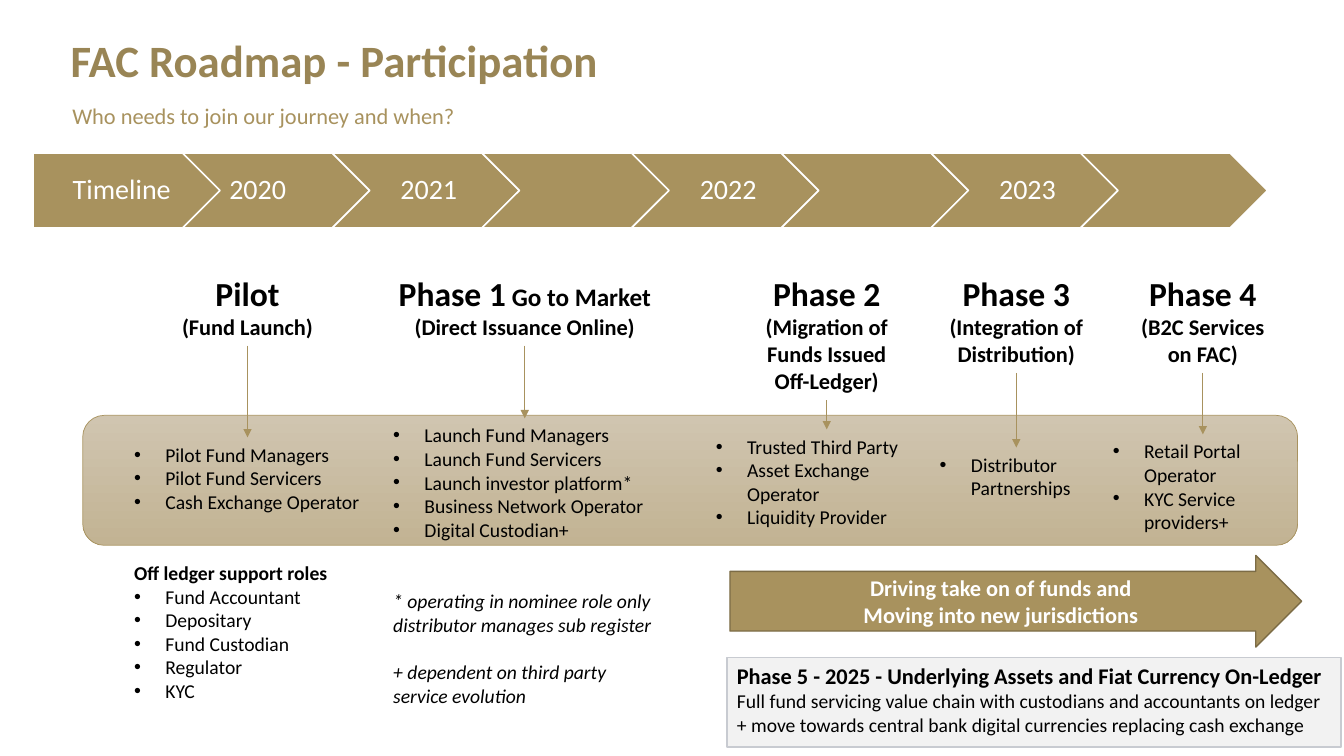
from lxml.etree import SubElement
from pptx import Presentation
from pptx.dml.color import RGBColor
from pptx.enum.shapes import MSO_CONNECTOR, MSO_SHAPE
from pptx.enum.text import MSO_ANCHOR, MSO_AUTO_SIZE, PP_ALIGN
from pptx.oxml.ns import qn
from pptx.util import Inches, Pt

COLORS = {
    "gold": "A8925E", "title": "998555", "arrow_edge": "7C6C46",
    "band_top": "D0C5B0", "band_bottom": "C2B393",
    "panel": "F2F2F2", "panel_edge": "C8CBD1", "black": "000000", "white": "FFFFFF",
}
LINE_14 = 17.1

TIMELINE = ["Timeline", "2020", "2021", "", "2022", "", "2023", ""]

PHASES = [
    {"name": "Pilot", "note": "", "scope": "(Fund Launch)",
     "heading": (1.68, 2.66, 1.55, 0.77), "list": (1.23, 4.34, 2.5, 2.69),
     "roles": ["Pilot Fund Managers", "Pilot Fund Servicers", "Cash Exchange Operator"]},
    {"name": "Phase 1", "note": " Go to Market", "scope": "(Direct Issuance Online)",
     "heading": (3.56, 2.66, 3.29, 0.77), "list": (3.8, 4.15, 2.8, 2.93),
     "roles": ["Launch Fund Managers", "Launch Fund Servicers", "Launch investor platform*",
               "Business Network Operator", "Digital Custodian+"]},
    {"name": "Phase 2", "note": "", "scope": "(Migration of Funds Issued Off-Ledger)",
     "heading": (7.4, 2.66, 1.6, 1.31), "list": (7, 4.26, 2.4, 1.04),
     "roles": ["Trusted Third Party", "Asset Exchange Operator", "Liquidity Provider"]},
    {"name": "Phase 3", "note": "", "scope": "(Integration of Distribution)",
     "heading": (9.28, 2.66, 1.6, 1.04), "list": (9.22, 4.44, 1.72, 0.57),
     "roles": ["Distributor Partnerships"]},
    {"name": "Phase 4", "note": "", "scope": "(B2C Services on FAC)",
     "heading": (11.13, 2.66, 1.6, 1.04), "list": (10.94, 4.31, 1.97, 1.04),
     "roles": ["Retail Portal Operator", "KYC Service providers+"]},
]
SUPPORT_ROLES = ["Fund Accountant", "Depositary", "Fund Custodian", "Regulator", "KYC"]
FOOTNOTES = [
    ("* operating in nominee role only distributor manages sub register", 2 * LINE_14),
    ("+ dependent on third party service evolution", LINE_14),
]


def color(name):
    return RGBColor.from_string(COLORS[name])


def place(shape, box):
    shape.left, shape.top, shape.width, shape.height = map(Inches, box)


def prepare_frame(shape, anchor=MSO_ANCHOR.TOP):
    frame = shape.text_frame
    frame.word_wrap = True
    frame.auto_size = MSO_AUTO_SIZE.NONE
    frame.vertical_anchor = anchor
    return frame


def add_paragraph(frame, align=PP_ALIGN.LEFT, before=0, bullet=False, spacing=1.0):
    first = frame.paragraphs[0]
    paragraph = frame.add_paragraph() if first.runs else first
    paragraph.alignment = align
    paragraph.line_spacing = spacing
    paragraph.space_before = Pt(before)
    paragraph.space_after = Pt(0)
    properties = paragraph._p.get_or_add_pPr()
    indent = Inches(0.31) if bullet else 0
    properties.set("marL", str(indent))
    properties.set("indent", str(-indent))
    if bullet:
        SubElement(properties, qn("a:buFont")).set("typeface", "Arial")
        SubElement(properties, qn("a:buChar")).set("char", "•")
    else:
        SubElement(properties, qn("a:buNone"))
    return paragraph


def add_run(paragraph, text, size, color_name="black", bold=False, italic=False):
    run = paragraph.add_run()
    run.text = text
    font = run.font
    font.name, font.size, font.bold, font.italic = "Calibri", Pt(size), bold, italic
    font.color.rgb = color(color_name)


def add_filled_shape(slide, kind, box, fill, line, width=1):
    shape = slide.shapes.add_shape(kind, *map(Inches, box))
    shape.shadow.inherit = False
    if fill:
        shape.fill.solid()
        shape.fill.fore_color.rgb = color(fill)
    shape.line.color.rgb = color(line)
    shape.line.width = Pt(width)
    return shape


def add_text_box(slide, box):
    return slide.shapes.add_textbox(*map(Inches, box))


def add_header(slide, box):
    left, top, width, height = box
    title = slide.shapes.title
    place(title, (left, top, width, 0.54))
    paragraph = add_paragraph(prepare_frame(title), spacing=0.8)
    add_run(paragraph, "FAC Roadmap - Participation", 32, "title", bold=True)
    subtitle = add_text_box(slide, (left + 0.02, top + 0.58, 4.3, height - 0.58))
    paragraph = add_paragraph(prepare_frame(subtitle))
    add_run(paragraph, "Who needs to join our journey and when?", 16, "gold")


def add_timeline(slide, box):
    left, top, width, height = box
    step_width = 1.85
    pitch = (width - step_width) / (len(TIMELINE) - 1)
    for index, label in enumerate(TIMELINE):
        kind = MSO_SHAPE.CHEVRON if index else MSO_SHAPE.PENTAGON
        step = add_filled_shape(slide, kind, (left + index * pitch, top, step_width, height),
                                "gold", "white")
        if label:
            frame = prepare_frame(step, MSO_ANCHOR.MIDDLE)
            frame.margin_left = Inches(0.09 if index else 0.12)
            frame.margin_right = Inches(0.03)
            align = PP_ALIGN.LEFT if label == "2020" else PP_ALIGN.CENTER
            add_run(add_paragraph(frame, align, spacing=0.9), label, 20, "white")


def add_band(slide, box):
    band = add_filled_shape(slide, MSO_SHAPE.ROUNDED_RECTANGLE, box, None, "gold", 0.5)
    band.fill.gradient()
    band.fill.gradient_angle = 270
    for stop, name, position in zip(band.fill.gradient_stops, ("band_top", "band_bottom"), (0, 1)):
        stop.color.rgb = color(name)
        stop.position = position
    band.element.getparent().insert(2, band.element)


def add_down_arrow(slide, center, top, bottom):
    arrow = slide.shapes.add_connector(
        MSO_CONNECTOR.STRAIGHT, Inches(center), Inches(top), Inches(center), Inches(bottom))
    arrow.line.color.rgb = color("gold")
    arrow.line.width = Pt(0.5)
    SubElement(arrow.line._get_or_add_ln(), qn("a:tailEnd")).set("type", "triangle")
    SubElement(arrow.element.spPr, qn("a:effectLst"))


def add_phase(slide, phase, holder):
    left, top, width, height = phase["heading"]
    frame = prepare_frame(add_text_box(slide, phase["heading"]))
    paragraph = add_paragraph(frame, PP_ALIGN.CENTER)
    add_run(paragraph, phase["name"], 24, bold=True)
    if phase["note"]:
        add_run(paragraph, phase["note"], 18, bold=True)
    add_run(add_paragraph(frame, PP_ALIGN.CENTER), phase["scope"], 16, bold=True)
    place(holder, phase["list"])
    frame = prepare_frame(holder)
    add_bullets(frame, phase["roles"])
    add_down_arrow(slide, left + width / 2, top + height, phase["list"][1])
    return frame


def add_bullets(frame, items):
    for item in items:
        add_run(add_paragraph(frame, bullet=True), item, 14)


def add_phases(slide):
    holders = [shape for shape in slide.placeholders if shape.placeholder_format.idx]
    holders += [add_text_box(slide, phase["list"]) for phase in PHASES[len(holders):]]
    frames = [add_phase(slide, phase, holder) for phase, holder in zip(PHASES, holders)]
    pilot, market = frames[:2]
    add_run(add_paragraph(pilot, before=2 * LINE_14), "Off ledger support roles", 14, bold=True)
    add_bullets(pilot, SUPPORT_ROLES)
    for text, gap in FOOTNOTES:
        add_run(add_paragraph(market, before=gap), text, 14, italic=True)


def add_outlook(slide, box):
    left, top, width, height = box
    arrow = add_filled_shape(slide, MSO_SHAPE.RIGHT_ARROW, (left + 0.03, top, 5.67, 0.91),
                             "gold", "arrow_edge")
    arrow.adjustments[0] = 0.65
    frame = prepare_frame(arrow, MSO_ANCHOR.MIDDLE)
    for text in ("Driving take on of funds and", "Moving into new jurisdictions"):
        add_run(add_paragraph(frame, PP_ALIGN.CENTER), text, 16, "white", bold=True)
    panel = add_filled_shape(slide, MSO_SHAPE.RECTANGLE, (left, top + 1.01, width, height - 1.01),
                             "panel", "panel_edge")
    frame = prepare_frame(panel)
    add_run(add_paragraph(frame),
            "Phase 5 - 2025 - Underlying Assets and Fiat Currency On-Ledger", 16, bold=True)
    add_run(add_paragraph(frame),
            "Full fund servicing value chain with custodians and accountants on ledger "
            "+ move towards central bank digital currencies replacing cash exchange", 14)


def main():
    presentation = Presentation()
    presentation.slide_width, presentation.slide_height = Inches(13.33), Inches(7.5)
    slide = presentation.slides.add_slide(presentation.slide_layouts.get_by_name("Comparison"))
    add_header(slide, (0.6, 0.38, 12.4, 0.95))
    add_timeline(slide, (0.33, 1.52, 12.24, 0.74))
    add_band(slide, (0.82, 4.12, 12.05, 1.29))
    add_phases(slide)
    add_outlook(slide, (7.21, 5.51, 6.09, 1.9))
    presentation.save("out.pptx")


if __name__ == "__main__":
    main()
